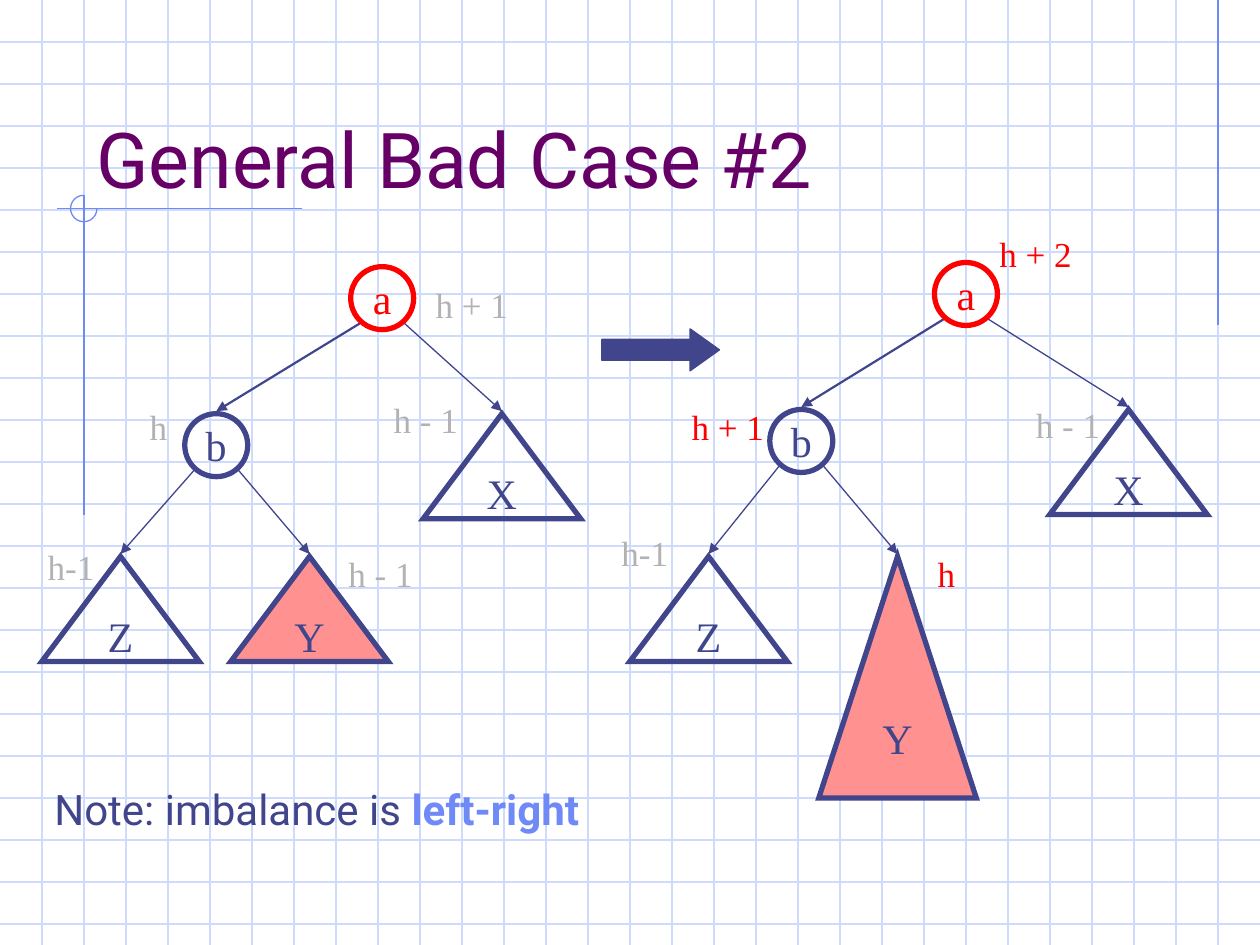
from lxml import etree
from pptx import Presentation
from pptx.dml.color import RGBColor
from pptx.enum import shapes, text
from pptx.oxml.ns import qn
from pptx.util import Inches, Pt

COLORS = {"grid": "CFDBFD", "accent": "6F89F7", "ink": "40458C", "title": "660066",
          "red": "FF0000", "gray": "B2B2B2", "pink": "FF9191"}
RGB = {name: RGBColor.from_string(value) for name, value in COLORS.items()}
CELL = Inches(1) / 3  # all lengths below are counted in grid cells
COLS, ROWS = 30, 22.5

prs = Presentation()
prs.slide_width, prs.slide_height = round(COLS * CELL), round(ROWS * CELL)
s = prs.slides.add_slide(prs.slide_layouts[6])


def line(x1, y1, x2, y2, color, width=0.75, arrow=False):
    ends = [round(v * CELL) for v in (x1, y1, x2, y2)]
    c = s.shapes.add_connector(shapes.MSO_CONNECTOR.STRAIGHT, *ends)
    c.line.color.rgb, c.line.width = RGB[color], Pt(width)
    if arrow:
        etree.SubElement(c.line._get_or_add_ln(), qn("a:tailEnd"), type="triangle")
    etree.SubElement(c._element.spPr, qn("a:effectLst"))


def write(sp, value, size=20, font="Times New Roman", color="ink", bold=False,
          align=text.PP_ALIGN.LEFT, anchor=text.MSO_ANCHOR.TOP, wrap=False):
    tf = sp.text_frame
    tf.word_wrap, tf.vertical_anchor = wrap, anchor
    p = tf.paragraphs[0]
    p.alignment = align
    r = p.add_run()
    r.text = value
    r.font.size, r.font.name, r.font.bold = Pt(size), font, bold
    r.font.color.rgb = RGB[color]


# Graph paper
for row in range(1, int(ROWS) + 1):
    line(0, row, COLS, row, "grid")
for col in range(1, COLS):
    line(col, 0, col, ROWS, "grid")

# Accent lines and three-quarter ring
line(29, 0, 29, 7.74, "accent")
line(7.2, 4.97, 1.35, 4.97, "accent")
line(2, 4.65, 2, 12.27, "accent")
sp = s.shapes.add_shape(shapes.MSO_SHAPE.ARC, *[round(v * CELL) for v in (1.68, 4.65, 0.63, 0.63)])
sp.adjustments[0], sp.adjustments[1] = 0, 270 * 0.6
sp.fill.background()
sp.line.color.rgb, sp.line.width = RGB["accent"], Pt(0.75)
sp.shadow.inherit = False

# Title
sp = s.shapes.add_textbox(*[round(v * CELL) for v in (2, 1.25, 25.5, 3.75)])
write(sp, "General Bad Case #2", size=44, font="Roboto", color="title",
      anchor=text.MSO_ANCHOR.BOTTOM, wrap=True)

# Trees: circle centres for a and b, triangle tops for X, Y and Z
trees = [
    ({"a": (9.1, 7.1), "b": (5.15, 10.6), "X": (11.95, 9.85),
      "Z": (2.87, 13.25), "Y": (7.37, 13.25)}, 2.5),
    ({"a": (23, 7), "b": (19.08, 10.5), "X": (26.87, 9.75),
      "Z": (16.87, 13.25), "Y": (21.37, 13.25)}, 5.75),
]
RADIUS, BASE, HEIGHT = 0.75, 3.75, 2.5
for nodes, y_height in trees:
    for parent, child, side in (("a", "b", -1), ("a", "X", 1), ("b", "Z", -1), ("b", "Y", 1)):
        (px, py), (cx, cy) = nodes[parent], nodes[child]
        top = cy - RADIUS if child == "b" else cy
        line(px + side * 0.53, py + 0.6, cx, top - 0.06, "ink",
             1.25 if child == "b" else 0.75, arrow=True)
    for name, (x, y) in nodes.items():
        if name in "ab":
            kind = shapes.MSO_SHAPE.OVAL
            box = (x - RADIUS, y - RADIUS, 2 * RADIUS, 2 * RADIUS)
        else:
            kind = shapes.MSO_SHAPE.ISOSCELES_TRIANGLE
            box = (x - BASE / 2, y, BASE, y_height if name == "Y" else HEIGHT)
        color = "red" if name == "a" else "ink"
        sp = s.shapes.add_shape(kind, *[round(v * CELL) for v in box])
        sp.shadow.inherit = False
        sp.line.color.rgb, sp.line.width = RGB[color], Pt(3)
        etree.SubElement(sp.line._get_or_add_ln(), qn("a:miter"), lim="800000")
        if name == "Y":
            sp.fill.solid()
            sp.fill.fore_color.rgb = RGB["pink"]
        else:
            sp.fill.background()
        write(sp, name, size=24, color=color, align=text.PP_ALIGN.CENTER,
              anchor=text.MSO_ANCHOR.MIDDLE)

# Arrow between the trees
sp = s.shapes.add_shape(shapes.MSO_SHAPE.RIGHT_ARROW,
                        *[round(v * CELL) for v in (14.33, 7.83, 2.8, 1)])
sp.adjustments[1] = 0.7
sp.fill.solid()
sp.fill.fore_color.rgb = sp.line.color.rgb = RGB["ink"]
sp.line.width = Pt(0.75)
sp.shadow.inherit = False

# Height labels
widths = {"h": 1.03, "h-1": 1.72, "h - 1": 2.15, "h + 1": 2.36, "h + 2": 2.36}
labels = [
    ("h + 1", 10.08, 6.6, "gray"), ("h", 3.27, 9.5, "gray"), ("h - 1", 9.08, 9.33, "gray"),
    ("h-1", 0.84, 12.84, "gray"), ("h - 1", 8, 13, "gray"),
    ("h + 2", 23.5, 5.4, "red"), ("h + 1", 16.17, 9.5, "red"), ("h - 1", 24.37, 9.45, "gray"),
    ("h-1", 14.5, 12.5, "gray"), ("h", 22.03, 13, "red"),
]
for value, x, y, color in labels:
    sp = s.shapes.add_textbox(*[round(v * CELL) for v in (x, y, widths[value], 1.32)])
    write(sp, value, color=color)
    sp.text_frame.auto_size = text.MSO_AUTO_SIZE.SHAPE_TO_FIT_TEXT

# Note
sp = s.shapes.add_textbox(*[round(v * CELL) for v in (1, 18.5, 13.75, 2.7)])
write(sp, "Note: imbalance is ", size=24, font="Roboto", wrap=True)
write(sp, "left-right", size=24, font="Roboto", color="accent", bold=True, wrap=True)

prs.save("out.pptx")
